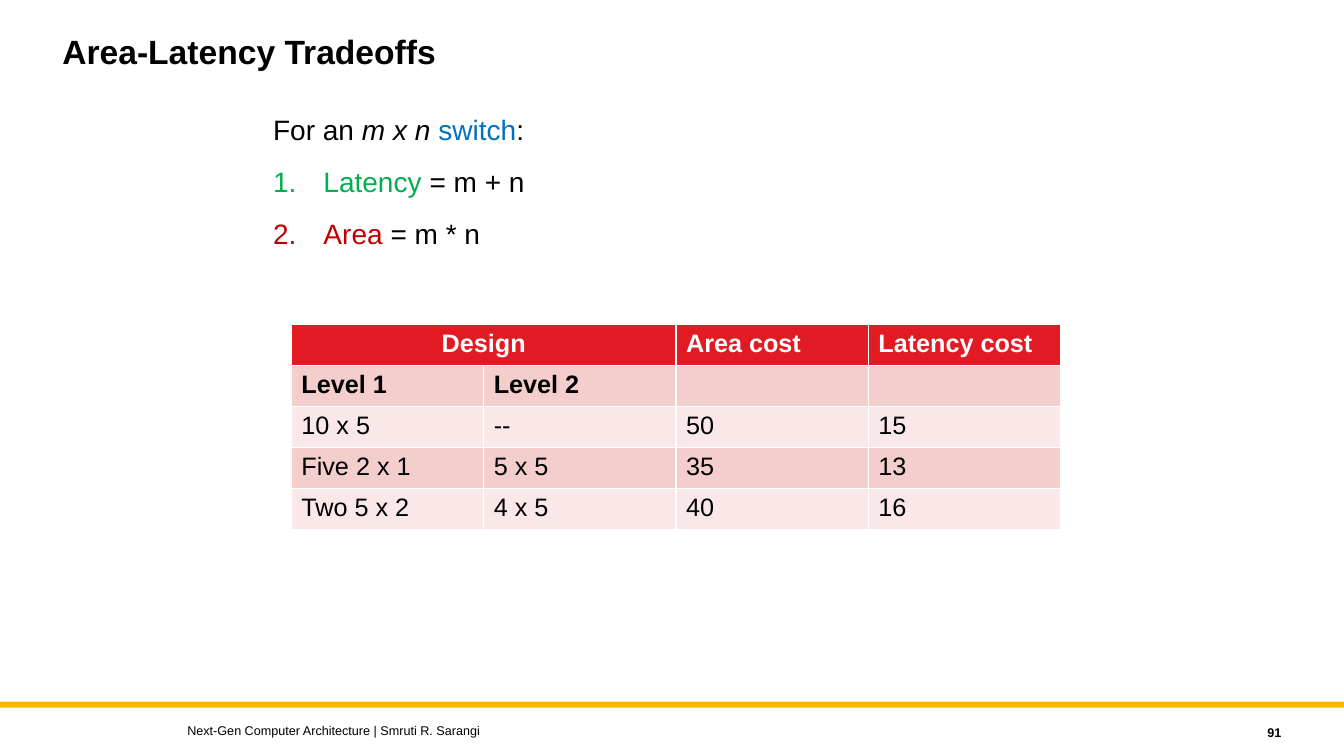
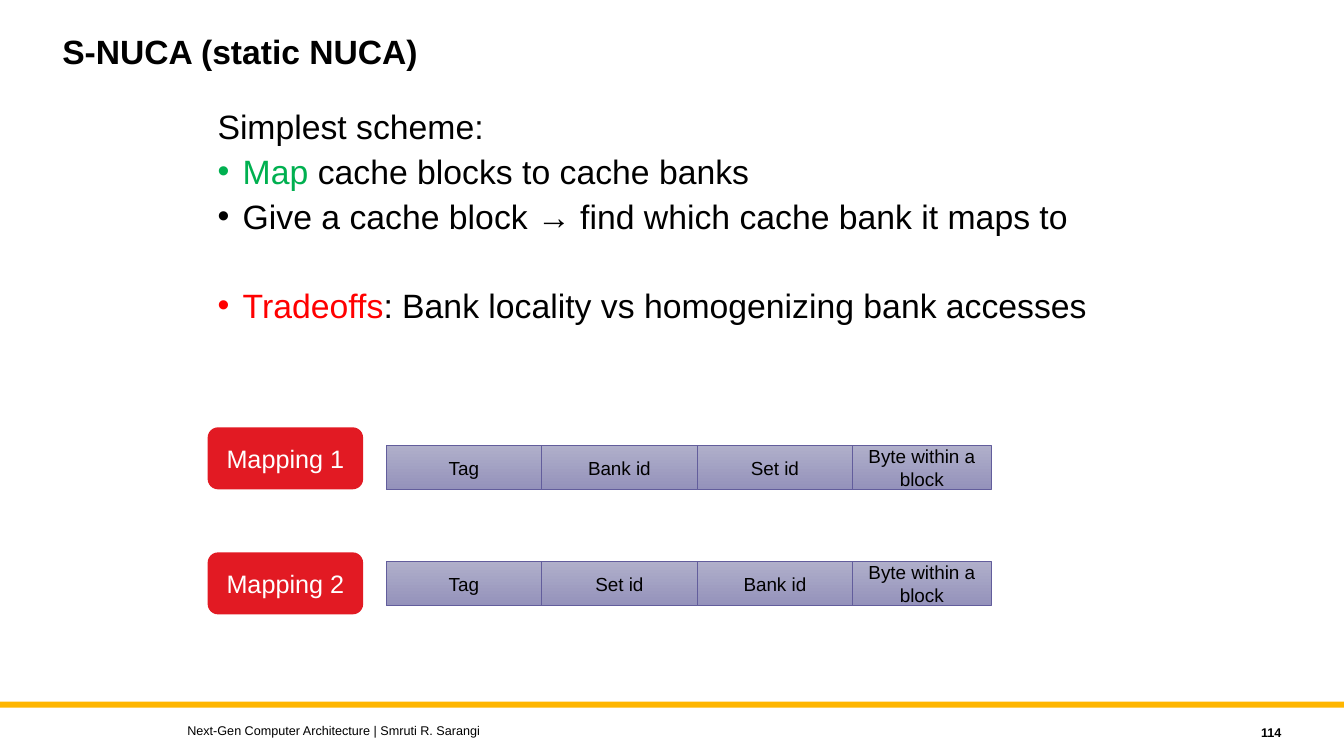
from collections import namedtuple
from itertools import accumulate

from lxml import etree
from pptx import Presentation
from pptx import util as u
from pptx.dml.color import RGBColor
from pptx.enum import shapes, text
from pptx.oxml import ns

SLIDE_WIDTH, SLIDE_HEIGHT = u.Inches(13.33), u.Inches(7.5)

BLACK = RGBColor(0x00, 0x00, 0x00)
WHITE = RGBColor(0xFF, 0xFF, 0xFF)
AMBER = RGBColor(0xFF, 0xB6, 0x00)
CRIMSON = RGBColor(0xE2, 0x1A, 0x23)
ROSE = RGBColor(0xF4, 0xCD, 0xCD)
BLUSH = RGBColor(0xFA, 0xE8, 0xE8)
BLUE = RGBColor(0x00, 0x70, 0xC0)
GREEN = RGBColor(0x00, 0xB0, 0x50)
DARK_RED = RGBColor(0xC0, 0x00, 0x00)
RED = RGBColor(0xFF, 0x00, 0x00)
LILAC = RGBColor(0xB0, 0xAF, 0xCA)
VIOLET = RGBColor(0x94, 0x92, 0xBB)
INDIGO = RGBColor(0x62, 0x5D, 0x9C)

FOOTER = "Next-Gen Computer Architecture | Smruti R. Sarangi"
CENTER = {"alignment": text.PP_ALIGN.CENTER}
MIDDLE = text.MSO_ANCHOR.MIDDLE
NUMBER = ("a:buAutoNum", {"type": "arabicPeriod"})
DOT = ("a:buChar", {"char": "•"})

# Boxes are percentages of the slide's width and height
Box = namedtuple("Box", "left top width height")
Line = namedtuple("Line", "runs format bullet indent", defaults=({}, None, 0))

BAND = Box(0, 92.8, 100, 0.8)
TITLE = Box(3.9, 4, 75, 12)
FOOTER_BOX = Box(13.2, 94.93, 60, 3.33)
PAGE_BOX = Box(85.58, 95.2, 10.5, 3.33)


def place(box):
    return [int(share * length / 100) for share, length in
            zip(box, (SLIDE_WIDTH, SLIDE_HEIGHT) * 2)]


def set_attributes(target, values):
    for name, value in values.items():
        setattr(target, name, value)


def add_bullet(paragraph, bullet, indent):
    tag, attributes = bullet
    properties = paragraph._p.get_or_add_pPr()
    properties.set("marL", str(u.Inches(indent)))
    properties.set("indent", str(-u.Inches(indent)))
    etree.SubElement(properties, ns.qn("a:buFont"), typeface="Arial")
    etree.SubElement(properties, ns.qn(tag), attributes)


def write(frame, lines, size, color=BLACK, bold=False, anchor=text.MSO_ANCHOR.TOP):
    """Each run is (wording, colour or None, italic)."""
    set_attributes(frame, {"word_wrap": True, "vertical_anchor": anchor})
    for index, line in enumerate(lines):
        paragraph = frame.add_paragraph() if index else frame.paragraphs[0]
        if line.bullet:
            add_bullet(paragraph, line.bullet, line.indent)
        set_attributes(paragraph, line.format)
        for wording, run_color, italic in line.runs:
            run = paragraph.add_run()
            run.text = wording
            set_attributes(run.font, {"name": "Arial", "size": u.Pt(size),
                                      "bold": bold, "italic": italic})
            run.font.color.rgb = run_color or color


def plain(wording, **paragraph_format):
    return [Line([(wording, None, False)], paragraph_format)]


def add_text(slide, box, lines, size, **style):
    shape = slide.shapes.add_textbox(*place(box))
    write(shape.text_frame, lines, size, **style)


def add_block(slide, box, kind, color):
    shape = slide.shapes.add_shape(kind, *place(box))
    shape.shadow.inherit = False
    shape.fill.solid()
    shape.fill.fore_color.rgb = color
    shape.line.fill.background()
    return shape


def add_base_slide(presentation, title, page):
    """Title, band and footer that every slide shares."""
    slide = presentation.slides.add_slide(presentation.slide_layouts[6])
    add_block(slide, BAND, shapes.MSO_SHAPE.RECTANGLE, AMBER)
    add_text(slide, TITLE, plain(title, line_spacing=0.9), 24, bold=True)
    add_text(slide, FOOTER_BOX, plain(FOOTER), 9, anchor=MIDDLE)
    add_text(slide, PAGE_BOX, plain(page, alignment=text.PP_ALIGN.RIGHT), 9,
             bold=True, anchor=MIDDLE)
    return slide


def add_cost_table(slide, box, rows):
    """Two heading rows; the first heading spans two columns."""
    table = slide.shapes.add_table(len(rows), len(rows[0]), *place(box)).table
    table.cell(0, 0).merge(table.cell(0, 1))
    for r, row in enumerate(rows):
        fill = CRIMSON if r == 0 else ROSE if r % 2 else BLUSH
        for c, wording in enumerate(row):
            cell = table.cell(r, c)
            cell.fill.solid()
            cell.fill.fore_color.rgb = fill
            if wording:
                alignment = CENTER if cell.is_merge_origin else {}
                write(cell.text_frame, plain(wording, **alignment), 18,
                      color=BLACK if r else WHITE, bold=r < 2)


def add_mapping(slide, label_box, address_box, label, fields):
    """A label and an address split into fields of weighted widths."""
    shape = add_block(slide, label_box, shapes.MSO_SHAPE.ROUNDED_RECTANGLE, CRIMSON)
    write(shape.text_frame, plain(label, **CENTER), 18, color=WHITE, anchor=MIDDLE)

    weights = (9, 9, 9, 8)
    unit = address_box.width / sum(weights)
    for field, weight, end in zip(fields, weights, accumulate(weights)):
        box = address_box._replace(left=address_box.left + (end - weight) * unit,
                                   width=weight * unit)
        shape = add_block(slide, box, shapes.MSO_SHAPE.RECTANGLE, LILAC)
        shape.fill.gradient()
        shape.fill.gradient_angle = 270
        for stop, color in zip(shape.fill.gradient_stops, (LILAC, VIOLET)):
            stop.color.rgb = color
        shape.line.color.rgb = INDIGO
        shape.line.width = u.Pt(0.5)
        write(shape.text_frame, plain(field, **CENTER), 13.5, anchor=MIDDLE)


def add_tradeoffs_slide(presentation):
    slide = add_base_slide(presentation, "Area-Latency Tradeoffs", "91")
    # Cost rules
    spaced = {"space_before": u.Pt(13)}
    add_text(slide, Box(19.58, 14.27, 56.25, 22.8), [
        Line([("For an ", None, False), ("m x n ", None, True),
              ("switch", BLUE, False), (":", None, False)]),
        Line([("Latency", GREEN, False), (" = m + n", None, False)],
             spaced, NUMBER, 0.5),
        Line([("Area", DARK_RED, False), (" = m * n", None, False)],
             spaced, NUMBER, 0.5),
    ], 20)
    # Comparison of designs
    add_cost_table(slide, Box(21.68, 42.93, 57.24, 27.07), [
        ("Design", "", "Area cost", "Latency cost"),
        ("Level 1", "Level 2", "", ""),
        ("10 x 5", "--", "50", "15"),
        ("Five 2 x 1", "5 x 5", "35", "13"),
        ("Two 5 x 2", "4 x 5", "40", "16"),
    ])


def add_nuca_slide(presentation):
    slide = add_base_slide(presentation, "S-NUCA (static NUCA)", "114")
    # Scheme
    tight = {"line_spacing": 0.8, "space_before": u.Pt(9)}
    apart = {**tight, "space_before": u.Pt(40)}
    add_text(slide, Box(15.45, 14.4, 70.2, 29.6), [
        Line([("Simplest scheme:", None, False)], {"line_spacing": 0.8}),
        Line([("Map", GREEN, False), (" cache blocks to cache banks", None, False)],
             tight, DOT, 0.25),
        Line([("Give a cache block → find which cache bank it maps to", None, False)],
             tight, DOT, 0.25),
        Line([("Tradeoffs", RED, False),
              (": Bank locality vs homogenizing bank accesses", None, False)],
             apart, DOT, 0.25),
    ], 24.1)
    # Address mappings
    mappings = [
        (56.53, 58.93, "Mapping 1", ("Tag", "Bank id", "Set id")),
        (73.07, 74.27, "Mapping 2", ("Tag", "Set id", "Bank id")),
    ]
    for label_top, address_top, label, fields in mappings:
        add_mapping(slide, Box(15.45, label_top, 11.57, 8.2),
                    Box(28.73, address_top, 45, 5.87),
                    label, (*fields, "Byte within a block"))


def main():
    presentation = Presentation()
    set_attributes(presentation, {"slide_width": SLIDE_WIDTH,
                                  "slide_height": SLIDE_HEIGHT})
    add_tradeoffs_slide(presentation)
    add_nuca_slide(presentation)
    presentation.save("out.pptx")


if __name__ == "__main__":
    main()
